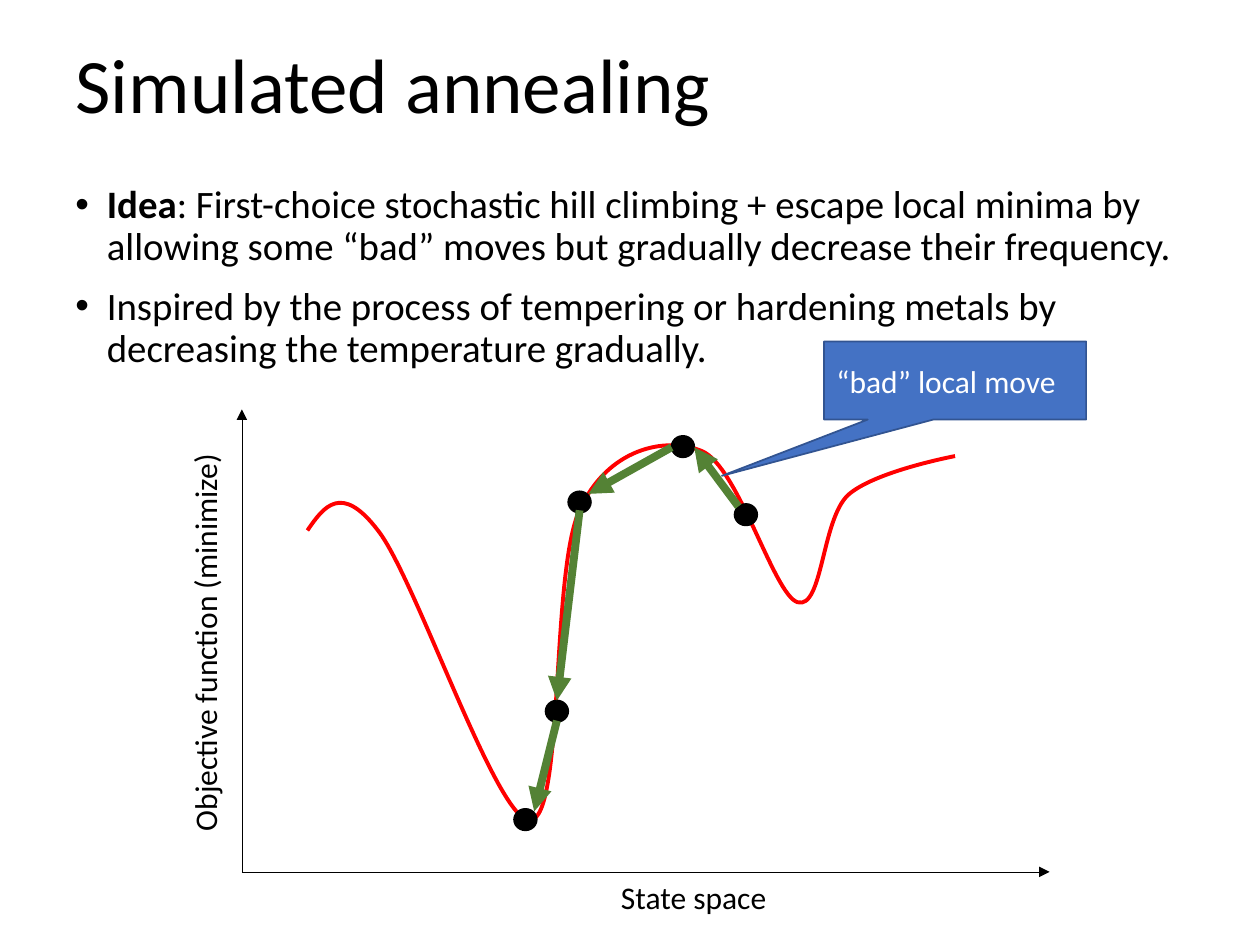
from dataclasses import dataclass
from typing import Optional

import pptx
import pptx.dml.color
import pptx.enum.shapes
import pptx.enum.text
import pptx.oxml.ns
import pptx.util
from lxml import etree

EMU_PER_PX = 9144  # 100 px to the inch
FONT = "Calibri"
BLACK = pptx.dml.color.RGBColor(0x00, 0x00, 0x00)
WHITE = pptx.dml.color.RGBColor(0xFF, 0xFF, 0xFF)
RED = pptx.dml.color.RGBColor(0xFF, 0x00, 0x00)
GREEN = pptx.dml.color.RGBColor(0x54, 0x82, 0x35)
BLUE = pptx.dml.color.RGBColor(0x44, 0x72, 0xC4)
DARK_BLUE = pptx.dml.color.RGBColor(0x32, 0x54, 0x91)
SHAPES = pptx.enum.shapes.MSO_SHAPE
ANCHOR = pptx.enum.text.MSO_ANCHOR
LEFT = pptx.enum.text.PP_ALIGN.LEFT
DOT_WIDTH, DOT_HEIGHT = 18, 17


@dataclass(frozen=True)
class Box:
    left: int
    top: int
    width: int
    height: int

    def emu(self) -> tuple:
        return tuple(px(v) for v in (self.left, self.top, self.width, self.height))


@dataclass(frozen=True)
class Arrow:
    start: tuple
    end: tuple
    color: pptx.dml.color.RGBColor
    weight: Optional[float] = None  # None leaves the default hairline


# Objective curve: a start point, then two controls and an end for each bend
CURVE_BOX = Box(244, 353, 514, 298)
CURVE_START = (244, 421)
CURVE_BENDS = [
    ((257, 402), (271, 383), (300, 421)),
    ((330, 459), (395, 654), (421, 651)),
    ((448, 649), (437, 454), (460, 405)),
    ((482, 356), (528, 346), (557, 358)),
    ((586, 370), (614, 472), (633, 478)),
    ((653, 484), (652, 413), (673, 393)),
    ((694, 374), (758, 362), (758, 362)),
]
ORIGIN = (192, 692)
AXES = [
    Arrow(ORIGIN, (192, 325), BLACK),
    Arrow(ORIGIN, (833, 692), BLACK),
]
MOVES = [
    Arrow((533, 355), (467, 392), GREEN, 4.5),
    Arrow((460, 405), (442, 556), GREEN, 4.5),
    Arrow((586, 402), (551, 355), GREEN, 4.5),
    Arrow((442, 572), (424, 644), GREEN, 4.5),
]
STATES = [(408, 642), (583, 400), (533, 346), (451, 390), (433, 556)]
BULLETS = [
    [
        ("Idea", True),
        (": First-choice stochastic hill climbing + escape local minima by "
         "allowing some “bad” moves but gradually decrease their frequency.", False),
    ],
    [
        ("Inspired by the process of tempering or hardening metals by "
         "decreasing the temperature gradually.", False),
    ],
]


def px(value: int) -> int:
    return value * EMU_PER_PX


def add_run(para, text: str, size: float, color=BLACK, bold: bool = False) -> None:
    run = para.add_run()
    run.text = text
    run.font.name = FONT
    run.font.size = pptx.util.Pt(size)
    run.font.bold = bold
    run.font.color.rgb = color


def add_label(page, text: str, box: Box, rotation: int = 0, wrap: bool = True) -> None:
    label = page.shapes.add_textbox(*box.emu())
    label.rotation = rotation
    label.text_frame.word_wrap = wrap
    label.text_frame.auto_size = pptx.enum.text.MSO_AUTO_SIZE.SHAPE_TO_FIT_TEXT
    add_run(label.text_frame.paragraphs[0], text, 18)


def add_bullets(page, box: Box) -> None:
    frame = page.shapes.add_textbox(*box.emu()).text_frame
    frame.word_wrap = True
    for index, spans in enumerate(BULLETS):
        para = frame.add_paragraph() if index else frame.paragraphs[0]
        properties = para._p.get_or_add_pPr()
        properties.set("marL", str(px(25)))
        properties.set("indent", str(px(-25)))
        typeface = etree.SubElement(properties, pptx.oxml.ns.qn("a:buFont"))
        typeface.set("typeface", "Arial")
        bullet = etree.SubElement(properties, pptx.oxml.ns.qn("a:buChar"))
        bullet.set("char", "•")
        para.line_spacing = 0.9
        if index:
            para.space_before = pptx.util.Pt(10)
        for text, bold in spans:
            add_run(para, text, 22.2, bold=bold)


def add_shape(page, kind, box: Box, fill, line):
    shape = page.shapes.add_shape(kind, *box.emu())
    shape.shadow.inherit = False
    shape.fill.solid()
    shape.fill.fore_color.rgb = fill
    shape.line.color.rgb = line
    shape.line.width = pptx.util.Pt(1)
    return shape


def add_arrow(page, arrow: Arrow) -> None:
    ends = [px(v) for v in (*arrow.start, *arrow.end)]
    line = page.shapes.add_connector(pptx.enum.shapes.MSO_CONNECTOR.STRAIGHT, *ends)
    line.element.remove(line.element.find(pptx.oxml.ns.qn("p:style")))
    line.line.color.rgb = arrow.color
    if arrow.weight:
        line.line.width = pptx.util.Pt(arrow.weight)
    head = etree.SubElement(line.get_or_add_ln(), pptx.oxml.ns.qn("a:tailEnd"))
    head.set("type", "triangle")
    etree.SubElement(line.element.spPr, pptx.oxml.ns.qn("a:effectLst"))


def add_curve(page) -> None:
    builder = page.shapes.build_freeform(*(px(v) for v in CURVE_START))
    anchors = [tuple(px(v) for v in bend[-1]) for bend in CURVE_BENDS]
    builder.add_line_segments(anchors, close=False)
    curve = builder.convert_to_shape()
    curve.left, curve.top, curve.width, curve.height = CURVE_BOX.emu()

    # Turn the straight segments into cubic bends, measured from the curve's box
    outline = next(curve.element.iter(pptx.oxml.ns.qn("a:path")))
    for child in list(outline):
        outline.remove(child)
    outline.set("w", str(curve.width))
    outline.set("h", str(curve.height))
    for tag, points in [("a:moveTo", (CURVE_START,)),
                        *(("a:cubicBezTo", bend) for bend in CURVE_BENDS)]:
        command = etree.SubElement(outline, pptx.oxml.ns.qn(tag))
        for x, y in points:
            point = etree.SubElement(command, pptx.oxml.ns.qn("a:pt"))
            point.set("x", str(px(x - CURVE_BOX.left)))
            point.set("y", str(px(y - CURVE_BOX.top)))

    curve.shadow.inherit = False
    curve.fill.background()
    curve.line.color.rgb = RED
    curve.line.width = pptx.util.Pt(2.25)


def main() -> None:
    deck = pptx.Presentation()
    deck.slide_width, deck.slide_height = px(1000), px(750)
    page = deck.slides.add_slide(deck.slide_layouts[5])

    # Title and bullets
    title = page.shapes.title
    title.left, title.top, title.width, title.height = Box(50, 8, 900, 125).emu()
    title.text_frame.vertical_anchor = ANCHOR.MIDDLE
    para = title.text_frame.paragraphs[0]
    para.alignment = LEFT
    para.line_spacing = 0.9
    add_run(para, "Simulated annealing", 44)
    add_bullets(page, Box(50, 142, 900, 158))

    # Objective curve and labelled axes
    add_curve(page)
    for axis in AXES:
        add_arrow(page, axis)
    add_label(page, "Objective function (minimize)", Box(1, 488, 323, 40), 270, wrap=False)
    add_label(page, "State space", Box(483, 692, 333, 40))

    # Callout pointing at the uphill move
    callout = add_shape(page, SHAPES.RECTANGULAR_CALLOUT, Box(654, 271, 208, 62), BLUE, DARK_BLUE)
    callout.adjustments[0], callout.adjustments[1] = -0.89, 1.22
    callout.text_frame.vertical_anchor = ANCHOR.MIDDLE
    callout.text_frame.paragraphs[0].alignment = LEFT
    add_run(callout.text_frame.paragraphs[0], "“bad” local move", 18, WHITE)

    # Visited states and the moves between them
    for left, top in STATES:
        add_shape(page, SHAPES.OVAL, Box(left, top, DOT_WIDTH, DOT_HEIGHT), BLACK, BLACK)
    for move in MOVES:
        add_arrow(page, move)

    deck.save("out.pptx")


if __name__ == "__main__":
    main()
